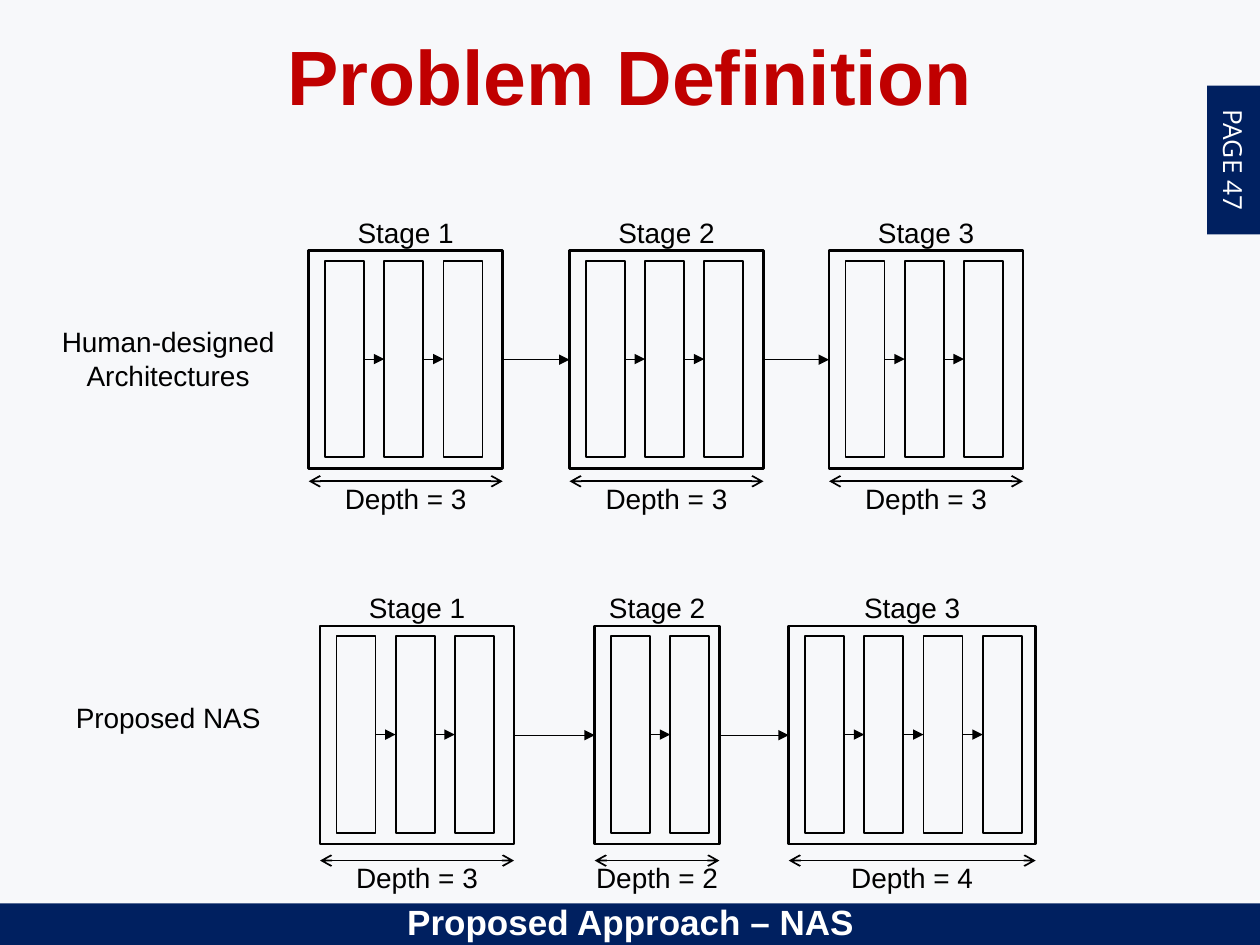
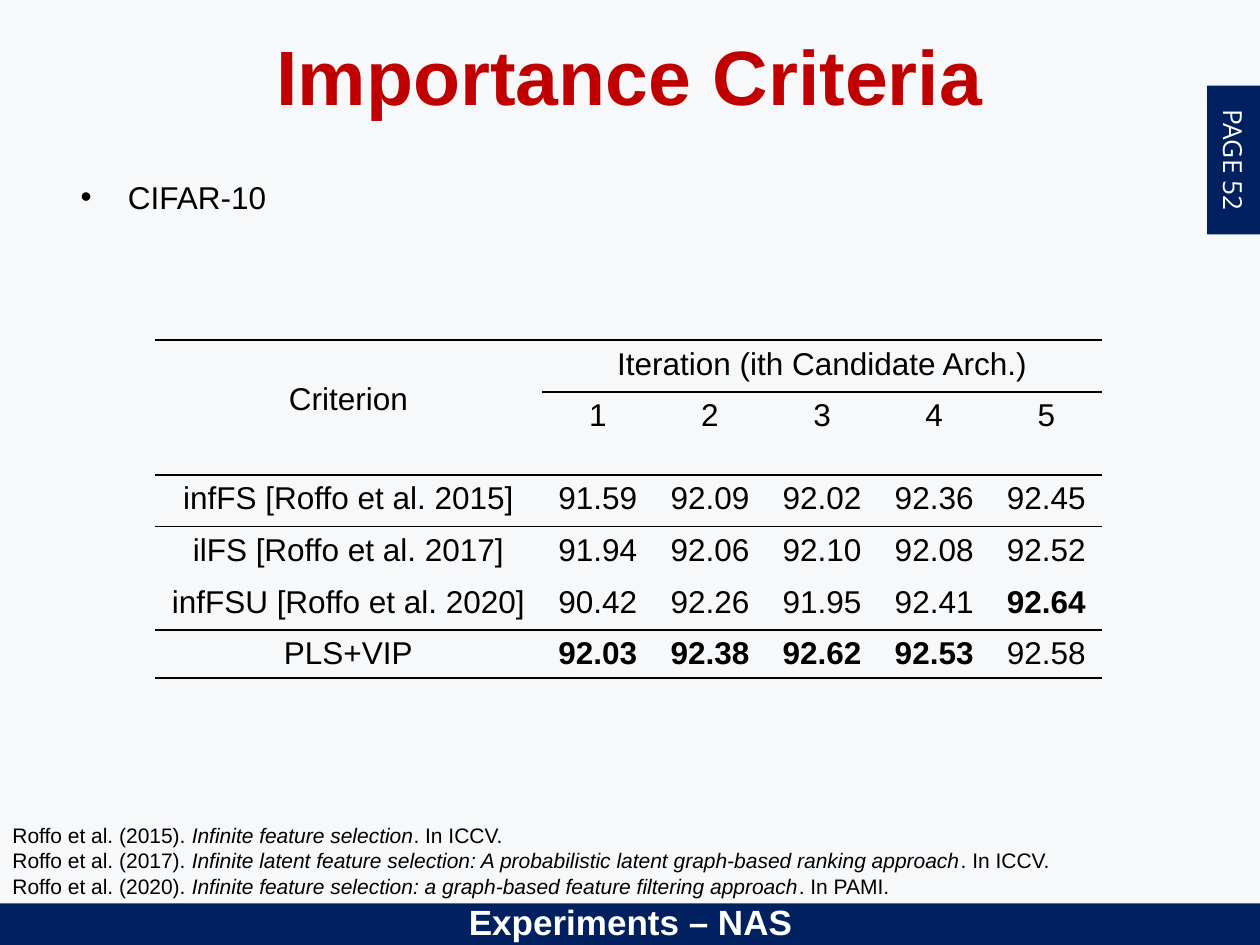
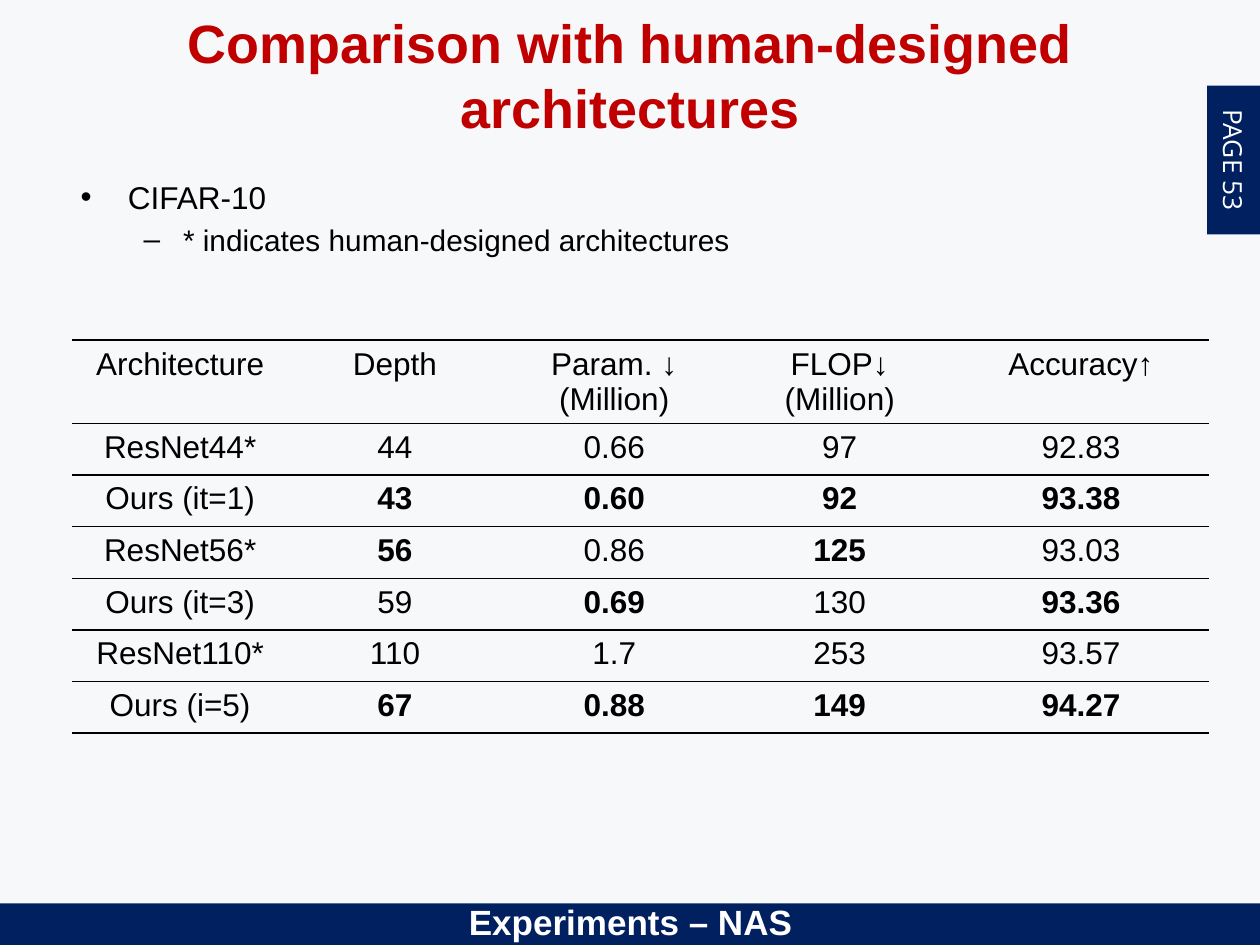
from collections.abc import Sequence
from dataclasses import dataclass
from typing import Any, NamedTuple

from lxml import etree
from pptx import Presentation
from pptx.dml.color import RGBColor
from pptx.enum import shapes, text
from pptx.oxml import ns
from pptx.util import Inches, Pt

BACKGROUND, NAVY, RED, BLACK, WHITE = "F7F8FA", "002060", "C00000", "000000", "FFFFFF"
CENTER = text.PP_ALIGN.CENTER
PLAIN_TABLE_STYLE = "{2D5ABB26-0587-4C30-8999-92F81FD0307C}"

BOX_HEIGHT = 1.73
BOX_WIDTHS = {2: 0.99, 3: 1.54, 4: 1.96}
LAYER_WIDTH, LAYER_HEIGHT, LAYER_PITCH = 0.31, 1.56, 0.47
LAYER_INSET, LAYER_DROP = 0.13, 0.08


class Stage(NamedTuple):
    left: float
    depth: int


class Bullet(NamedTuple):
    words: str
    size: float
    level: int = 0


class Reference(NamedTuple):
    authors: str
    title: str
    venue: str


@dataclass
class Network:
    label: str
    top: float
    span_gap: float
    stages: list[Stage]


@dataclass
class ResultTable:
    """rules maps a row to the first column underlined below it; -1 is the top edge."""
    left: float
    columns: list[float]
    heights: list[float]
    rows: list[list[str]]
    bold: list[str]
    rules: dict[int, int]


NETWORKS = [
    Network("Human-designed\nArchitectures", 1.99, 0.1,
            [Stage(2.45, 3), Stage(4.52, 3), Stage(6.58, 3)]),
    Network("Proposed NAS", 4.97, 0.13,
            [Stage(2.54, 3), Stage(4.72, 2), Stage(6.26, 4)]),
]

CRITERIA = ResultTable(
    left=1.23,
    columns=[3.07] + [0.89] * 5,
    heights=[0.41, 0.66, 0.41, 0.41, 0.41, 0.38],
    rows=[
        ["Criterion", "Iteration (ith Candidate Arch.)", "", "", "", ""],
        ["", "1", "2", "3", "4", "5"],
        ["infFS [Roffo et al. 2015]", "91.59", "92.09", "92.02", "92.36", "92.45"],
        ["ilFS [Roffo et al. 2017]", "91.94", "92.06", "92.10", "92.08", "92.52"],
        ["infFSU [Roffo et al. 2020]", "90.42", "92.26", "91.95", "92.41", "92.64"],
        ["PLS+VIP", "92.03", "92.38", "92.62", "92.53", "92.58"],
    ],
    bold=["92.64", "92.03", "92.38", "92.62", "92.53"],
    rules={-1: 0, 0: 1, 1: 0, 4: 0, 5: 0},
)

ARCHITECTURES = ResultTable(
    left=0.57,
    columns=[1.72, 1.69, 1.79, 1.79, 2.04],
    heights=[0.66] + [0.41] * 6,
    rows=[
        ["Architecture", "Depth", "Param. ↓\n(Million)", "FLOP↓\n(Million)", "Accuracy↑"],
        ["ResNet44*", "44", "0.66", "97", "92.83"],
        ["Ours (it=1)", "43", "0.60", "92", "93.38"],
        ["ResNet56*", "56", "0.86", "125", "93.03"],
        ["Ours (it=3)", "59", "0.69", "130", "93.36"],
        ["ResNet110*", "110", "1.7", "253", "93.57"],
        ["Ours (i=5)", "67", "0.88", "149", "94.27"],
    ],
    bold=["43", "0.60", "92", "93.38", "56", "125", "0.69", "93.36",
          "67", "0.88", "149", "94.27"],
    rules={-1: 0, 0: 0, 2: 0, 4: 0, 6: 0},
)

REFERENCES = [
    Reference("Roffo et al. (2015). ", "Infinite feature selection", ". In ICCV."),
    Reference("Roffo et al. (2017). ",
              "Infinite latent feature selection: A probabilistic latent graph-based "
              "ranking approach", ". In ICCV."),
    Reference("Roffo et al. (2020). ",
              "Infinite feature selection: a graph-based feature filtering approach",
              ". In PAMI."),
]


def color(code: str) -> RGBColor:
    return RGBColor.from_string(code)


def inches(*lengths: float) -> list[int]:
    return [Inches(length) for length in lengths]


def place(shape: Any, left: float, top: float, width: float, height: float) -> None:
    shape.left, shape.top, shape.width, shape.height = inches(left, top, width, height)


def add_run(paragraph: Any, words: str, *, size: float, fill: str = BLACK,
            bold: bool = False, italic: bool = False, face: str = "Arial") -> None:
    run = paragraph.add_run()
    run.text = words
    font = run.font
    font.name, font.size, font.bold, font.italic = face, Pt(size), bold, italic
    font.color.rgb = color(fill)


def write(frame: Any, words: str, *, align: Any = CENTER, **style: Any) -> None:
    """Fill a text frame, one paragraph for each line of words."""
    for index, line in enumerate(words.split("\n")):
        paragraph = frame.add_paragraph() if index else frame.paragraphs[0]
        paragraph.alignment = align
        paragraph.space_before = Pt(0)
        add_run(paragraph, line, **style)


def add_label(slide: Any, words: str, left: float, top: float, width: float,
              height: float) -> None:
    frame = slide.shapes.add_textbox(*inches(left, top, width, height)).text_frame
    frame.word_wrap = True
    write(frame, words, size=16)


def add_rectangle(slide: Any, left: float, top: float, width: float, height: float, *,
                  fill: str | None = None, line: float | None = None) -> Any:
    rectangle = slide.shapes.add_shape(
        shapes.MSO_SHAPE.RECTANGLE, *inches(left, top, width, height))
    rectangle.shadow.inherit = False
    if fill:
        rectangle.fill.solid()
        rectangle.fill.fore_color.rgb = color(fill)
    else:
        rectangle.fill.background()
    if line:
        rectangle.line.color.rgb = color(BLACK)
        rectangle.line.width = Pt(line)
    else:
        rectangle.line.fill.background()
    return rectangle


def add_line(slide: Any, ends: Sequence[float], weight: float, **heads: str) -> Any:
    """Draw a straight line; heads gives the arrow type of headEnd and tailEnd."""
    line = slide.shapes.add_connector(shapes.MSO_CONNECTOR.STRAIGHT, *inches(*ends))
    line.line.color.rgb = color(BLACK)
    line.line.width = Pt(weight)
    outline = line.line._get_or_add_ln()
    for end, kind in heads.items():
        etree.SubElement(outline, ns.qn(f"a:{end}"), type=kind)
    etree.SubElement(line._element.spPr, ns.qn("a:effectLst"))
    return line


def join(slide: Any, boxes: list[Any]) -> None:
    """Link each box to the next with an arrow."""
    for source, target in zip(boxes, boxes[1:]):
        arrow = add_line(slide, (0, 0, 0, 0), 0.5, tailEnd="triangle")
        arrow.begin_connect(source, 3)
        arrow.end_connect(target, 1)


def add_stage(slide: Any, number: int, stage: Stage, network: Network) -> Any:
    left, top, width = stage.left, network.top, BOX_WIDTHS[stage.depth]
    center, span = left + width / 2, top + BOX_HEIGHT + network.span_gap
    box = add_rectangle(slide, left, top, width, BOX_HEIGHT, line=1.5)
    join(slide, [
        add_rectangle(slide, left + LAYER_INSET + index * LAYER_PITCH, top + LAYER_DROP,
                      LAYER_WIDTH, LAYER_HEIGHT, line=1)
        for index in range(stage.depth)
    ])
    add_label(slide, f"Stage {number}", center - 1.14, top - 0.33, 2.28, 0.37)
    add_line(slide, (left, span, left + width, span), 1, headEnd="arrow", tailEnd="arrow")
    add_label(slide, f"Depth = {stage.depth}", center - 0.63, span - 0.05, 1.26, 0.3)
    return box


def add_network(slide: Any, network: Network) -> None:
    add_label(slide, network.label, 0.2, network.top + 0.54, 2.27, 0.65)
    join(slide, [add_stage(slide, number, stage, network)
                 for number, stage in enumerate(network.stages, 1)])


def add_border(cell: Any, side: str) -> None:
    border = etree.SubElement(cell._tc.get_or_add_tcPr(), ns.qn(f"a:{side}"), w=str(Pt(1)))
    fill = etree.SubElement(border, ns.qn("a:solidFill"))
    etree.SubElement(fill, ns.qn("a:srgbClr"), val=BLACK)


def add_results(slide: Any, results: ResultTable) -> Any:
    table = slide.shapes.add_table(
        len(results.rows), len(results.columns),
        *inches(results.left, 2.7, sum(results.columns), sum(results.heights))).table
    table.first_row = table.horz_banding = False
    table._tbl.tblPr.find(ns.qn("a:tableStyleId")).text = PLAIN_TABLE_STYLE
    for column, width in zip(table.columns, results.columns):
        column.width = Inches(width)
    for row, height in zip(table.rows, results.heights):
        row.height = Inches(height)
    for row, values in enumerate(results.rows):
        for column, value in enumerate(values):
            cell = table.cell(row, column)
            if value:
                write(cell.text_frame, value, size=18, bold=value in results.bold)
            for side, ruled in (("lnT", row - 1), ("lnB", row)):
                if ruled in results.rules and column >= results.rules[ruled]:
                    add_border(cell, side)
            cell.fill.background()
    return table


def add_bullets(slide: Any, bullets: list[Bullet]) -> None:
    body = slide.placeholders[2]
    place(body, 0.54, 1.36, 8.96, 1.11)
    frame = body.text_frame
    frame.auto_size = text.MSO_AUTO_SIZE.NONE
    for index, bullet in enumerate(bullets):
        paragraph = frame.add_paragraph() if index else frame.paragraphs[0]
        paragraph.level = bullet.level
        if not index:
            paragraph.space_before = Pt(0)
        add_run(paragraph, bullet.words, size=bullet.size)


def add_references(slide: Any) -> None:
    frame = slide.shapes.add_textbox(*inches(0, 6.48, 9.18, 0.7)).text_frame
    frame.word_wrap = True
    for index, reference in enumerate(REFERENCES):
        paragraph = frame.add_paragraph() if index else frame.paragraphs[0]
        for part in reference:
            add_run(paragraph, part, size=12, italic=part == reference.title)


def add_section_name(slide: Any, section: str) -> None:
    band = add_rectangle(slide, 0, 7.17, 10, 0.33, fill=NAVY)
    slide.shapes._spTree.insert(2, band._element)
    caption = slide.placeholders[1]
    place(caption, 1.94, 7.1, 6.13, 0.36)
    caption.text_frame.auto_size = text.MSO_AUTO_SIZE.NONE
    write(caption.text_frame, section, size=20, fill=WHITE, bold=True)
    properties = caption.text_frame.paragraphs[0]._p.get_or_add_pPr()
    properties.set("marL", "0")
    properties.set("indent", "0")
    etree.SubElement(properties, ns.qn("a:buNone"))


def add_slide(deck: Any, layout: str, title: str, section: str, page: int,
              title_size: float = 44) -> Any:
    """Add a slide with the title, page tab and section band that all slides share."""
    slide = deck.slides.add_slide(deck.slide_layouts.get_by_name(layout))
    heading = slide.shapes.title
    place(heading, 0.5, 0.12, 9, 0.94)
    heading.text_frame.auto_size = text.MSO_AUTO_SIZE.NONE
    write(heading.text_frame, title, size=title_size, fill=RED, bold=True)
    add_section_name(slide, section)
    tab = add_rectangle(slide, 9.2, 1.06, 1.18, 0.42, fill=NAVY)
    tab.rotation = 90
    write(tab.text_frame, f"PAGE {page}", size=15, fill=WHITE, face="Open Sans")
    return slide


def main() -> None:
    deck = Presentation()
    deck.slide_width, deck.slide_height = inches(10, 7.5)
    backdrop = deck.slide_master.background.fill
    backdrop.solid()
    backdrop.fore_color.rgb = color(BACKGROUND)

    problem = add_slide(deck, "Title and Content", "Problem Definition",
                        "Proposed Approach – NAS", 47)
    for network in NETWORKS:
        add_network(problem, network)

    criteria = add_slide(deck, "Two Content", "Importance Criteria", "Experiments – NAS", 52)
    add_bullets(criteria, [Bullet("CIFAR-10", 18)])
    table = add_results(criteria, CRITERIA)
    table.cell(0, 0).merge(table.cell(1, 0))
    table.cell(0, 1).merge(table.cell(0, 5))
    table.cell(0, 0).margin_top = Inches(0.33)
    add_references(criteria)

    comparison = add_slide(deck, "Two Content", "Comparison with human-designed architectures",
                           "Experiments – NAS", 53, title_size=30.8)
    add_bullets(comparison, [Bullet("CIFAR-10", 18),
                             Bullet("* indicates human-designed architectures", 17, level=1)])
    add_results(comparison, ARCHITECTURES)

    deck.save("out.pptx")


if __name__ == "__main__":
    main()
